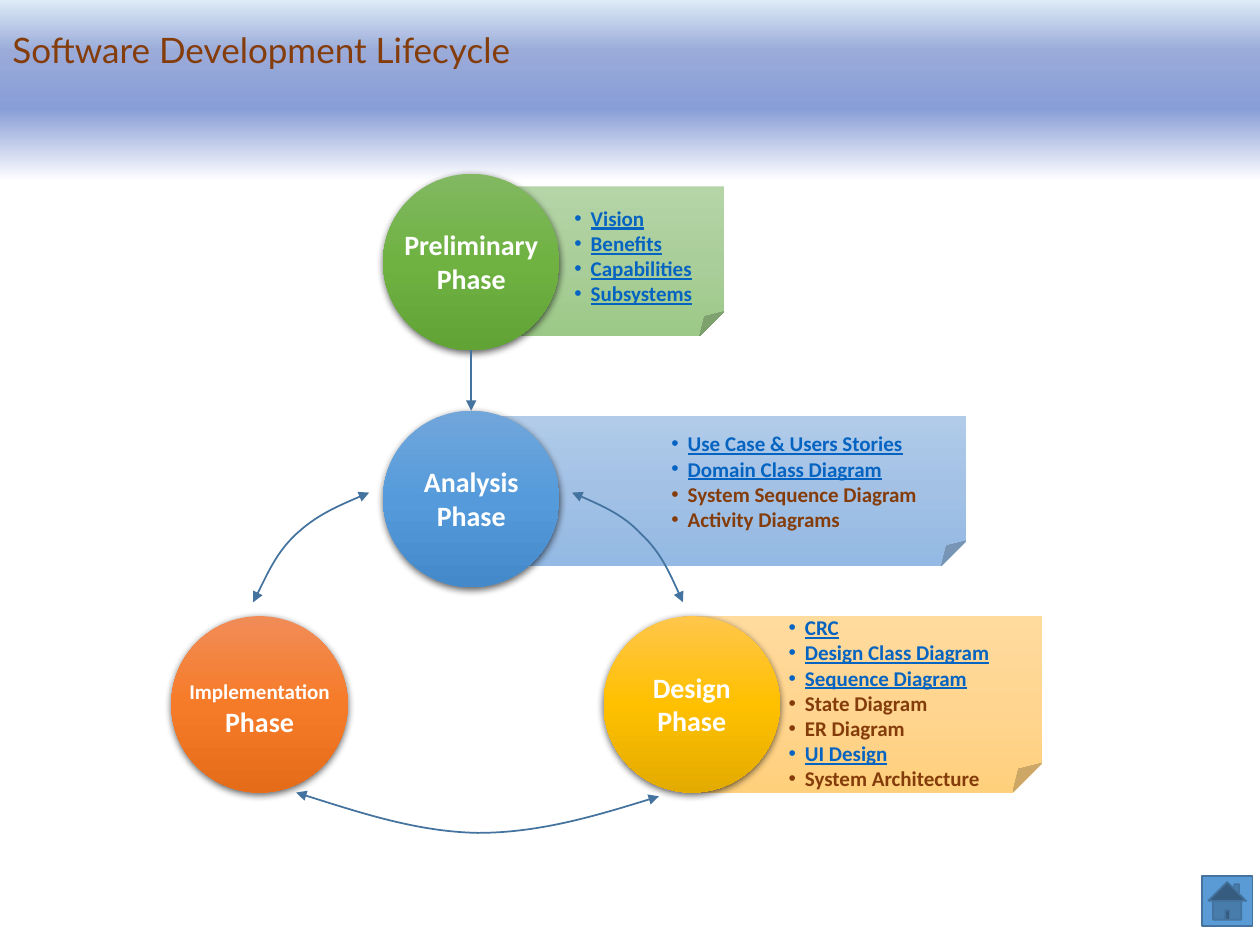
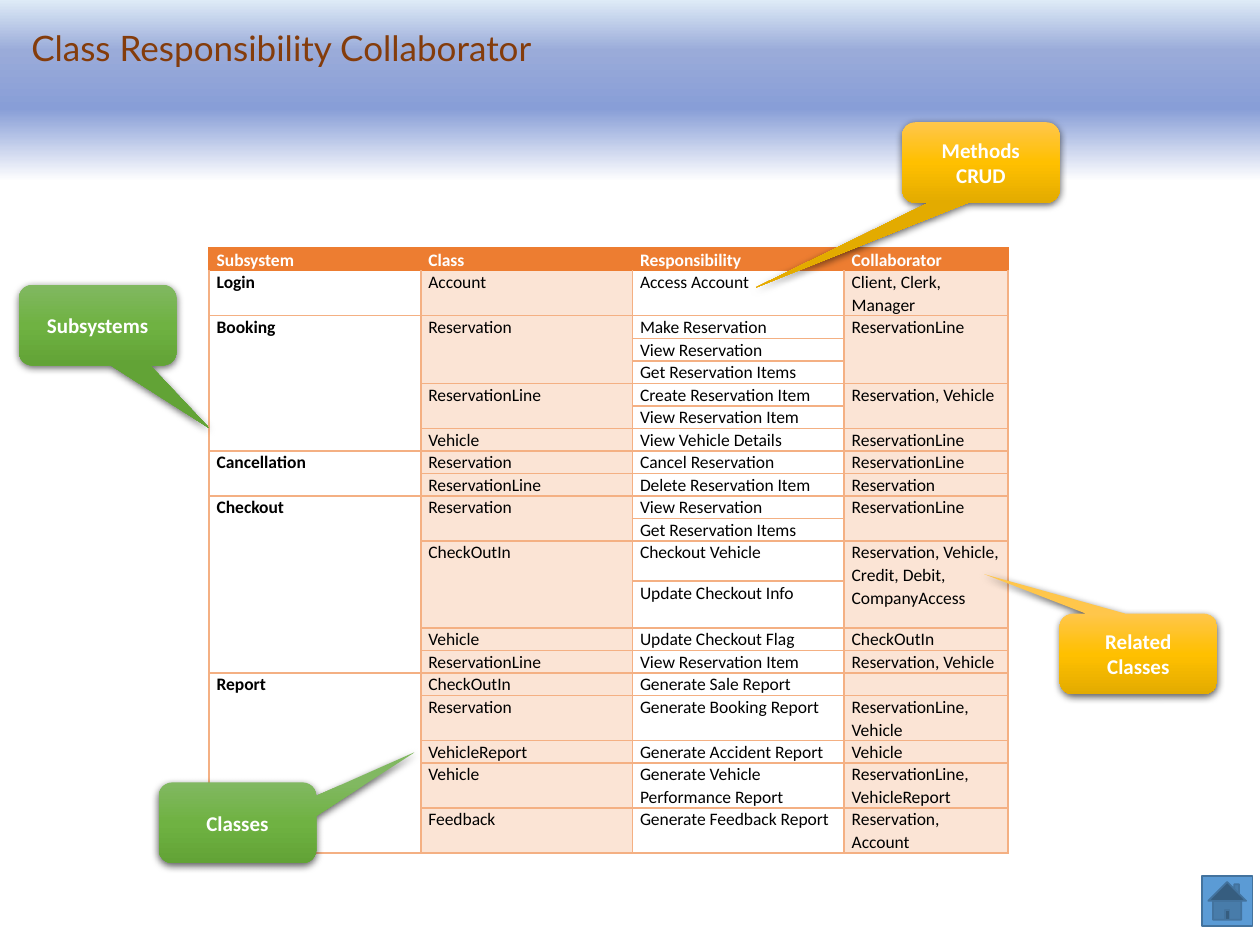
from lxml.etree import SubElement
from pptx import Presentation
from pptx.dml.color import RGBColor as RGB
from pptx.enum.shapes import MSO_CONNECTOR as LINK, MSO_SHAPE as SHAPE
from pptx.enum.text import MSO_ANCHOR as ANCHOR, PP_ALIGN as ALIGN
from pptx.oxml.ns import qn
from pptx.util import Inches, Pt

COLORS = {
    "title": "843C0B", "link": "0563C1", "white": "FFFFFF", "black": "000000",
    "line": "43739E", "home": "5B9BD5",
    "header": "ED7D31", "border": "F4B083", "tint": "FBE4D5",
}
GRADIENTS = {
    "band": [(0, "DEEBF7"), (28, "9AABD9"), (60, "889ED7"), (100, "FFFFFF")],
    "green": [(0, "81B861"), (50, "6FB242"), (100, "62A336")],
    "blue": [(0, "71A6DB"), (50, "559BDB"), (100, "448ACA")],
    "gold": [(0, "FFC64B"), (50, "FFC000"), (100, "E3AB00")],
    "orange": [(0, "F18C57"), (50, "F67B28"), (100, "E56C19")],
    "green note": [(0, "B5D5A7"), (50, "AACE9A"), (100, "9CC987")],
    "blue note": [(0, "B1CBE9"), (50, "A3C1E5"), (100, "93B9E4")],
    "gold note": [(0, "FFDB9E"), (50, "FFD590"), (100, "FFD07C")],
}


def add_gradient_shape(page, kind, place, gradient, shadow=False):
    shape = page.shapes.add_shape(kind, *map(Inches, place))
    shape.line.fill.background()
    shape.fill.gradient()
    shape.fill.gradient_angle = 270
    stops = shape._element.spPr.find(qn("a:gradFill")).find(qn("a:gsLst"))
    for stop in list(stops):
        stops.remove(stop)
    for position, color in GRADIENTS[gradient]:
        stop = SubElement(stops, qn("a:gs"), pos=str(position * 1000))
        SubElement(stop, qn("a:srgbClr"), val=color)
    shape.shadow.inherit = False
    if shadow:
        effects = shape._element.spPr.find(qn("a:effectLst"))
        outer = SubElement(effects, qn("a:outerShdw"), blurRad=str(Pt(4.5)),
                           dist=str(Pt(1.5)), dir="5400000", rotWithShape="0")
        black = SubElement(outer, qn("a:srgbClr"), val=COLORS["black"])
        SubElement(black, qn("a:alpha"), val="63000")
    return shape


def write(frame, lines, size, color, bold=True, align=None, bullets=False, font="Calibri"):
    for index, line in enumerate(lines):
        para = frame.paragraphs[0] if index == 0 else frame.add_paragraph()
        para.text = line
        para.alignment = align
        if bullets:
            props = para._p.get_or_add_pPr()
            props.set("marL", str(Inches(0.13)))
            props.set("indent", str(-Inches(0.13)))
            SubElement(props, qn("a:buFont"), typeface="Arial")
            SubElement(props, qn("a:buChar"), char="•")
        para.font.name = font
        para.font.size = Pt(size)
        para.font.bold = bold
        para.font.color.rgb = RGB.from_string(COLORS[color])


deck = Presentation()
deck.slide_width, deck.slide_height = Inches(10), Inches(7.5)

pages = []
for title, left, top in [
    ("Software Development Lifecycle", 0, 0.18),
    ("Class Responsibility Collaborator", 0.15, 0.16),
]:
    page = deck.slides.add_slide(deck.slide_layouts[6])
    add_gradient_shape(page, SHAPE.RECTANGLE, (0, 0, 10, 1.44), "band")
    home = page.shapes.add_shape(SHAPE.ACTION_BUTTON_HOME, Inches(9.54), Inches(6.95), Inches(0.4), Inches(0.4))
    home.fill.solid()
    home.fill.fore_color.rgb = RGB.from_string(COLORS["home"])
    home.line.color.rgb = RGB.from_string(COLORS["line"])
    home.line.width = Pt(1)
    home.shadow.inherit = False
    box = page.shapes.add_textbox(Inches(left), Inches(top), Inches(4.5), Inches(0.44))
    box.text_frame.word_wrap = False
    write(box.text_frame, [title], 20, "title", bold=False, font="Lato")
    pages.append(page)
lifecycle, collaborators = pages

for place, gradient in [
    ((5.42, 4.89, 2.85, 1.4), "gold note"),
    ((3.74, 3.3, 3.93, 1.19), "blue note"),
    ((3.74, 1.48, 2.01, 1.19), "green note"),
]:
    add_gradient_shape(lifecycle, SHAPE.FOLDED_CORNER, place, gradient)

diameter = 1.4
for phase, left, top, gradient, size in [
    ("Preliminary", 3.04, 1.38, "green", 16),
    ("Analysis", 3.04, 3.26, "blue", 16),
    ("Design", 4.79, 4.89, "gold", 16),
    ("Implementation", 1.36, 4.89, "orange", 12),
]:
    add_gradient_shape(lifecycle, SHAPE.OVAL, (left, top, diameter, diameter), gradient, shadow=True)
    height = 0.64 if size == 16 else 0.57
    label_top = top + 0.38 if size == 16 else top + 0.45
    box = lifecycle.shapes.add_textbox(Inches(left - 0.14), Inches(label_top), Inches(1.68), Inches(height))
    box.text_frame.word_wrap = True
    write(box.text_frame, [phase, "Phase"], 16, "white", align=ALIGN.CENTER)
    box.text_frame.paragraphs[0].font.size = Pt(size)

arrows = []
for points in [
    [(4.54, 3.91), (4.75, 4), (4.95, 4.09), (5.09, 4.24), (5.24, 4.38), (5.33, 4.58), (5.42, 4.78)],
    [(5.23, 6.32), (4.75, 6.47), (4.27, 6.61), (3.79, 6.61), (3.31, 6.6), (2.83, 6.44), (2.35, 6.29)],
    [(2.93, 3.91), (2.72, 4), (2.51, 4.09), (2.35, 4.24), (2.2, 4.38), (2.11, 4.58), (2.01, 4.78)],
]:
    start, *controls = [(Inches(x), Inches(y)) for x, y in points]
    builder = lifecycle.shapes.build_freeform(*start)
    builder.add_line_segments(controls, close=False)
    curve = builder.convert_to_shape()
    curve.fill.background()
    curve.shadow.inherit = False
    outline = next(curve._element.iter(qn("a:path")))
    segments = outline.findall(qn("a:lnTo"))
    for first in (0, 3):
        bezier = SubElement(outline, qn("a:cubicBezTo"))
        for segment in segments[first:first + 3]:
            bezier.append(segment[0])
            outline.remove(segment)
    arrows.append((curve, ("a:headEnd", "a:tailEnd")))

down = lifecycle.shapes.add_connector(LINK.STRAIGHT, Inches(3.74), Inches(2.78), Inches(3.74), Inches(3.26))
SubElement(down._element.spPr, qn("a:effectLst"))
arrows.append((down, ("a:tailEnd",)))
for arrow, ends in arrows:
    arrow.line.color.rgb = RGB.from_string(COLORS["line"])
    arrow.line.width = Pt(1)
    for end in ends:
        SubElement(arrow._element.spPr.find(qn("a:ln")), qn(end), type="triangle")

linked = {"Vision", "Benefits", "Capabilities", "Subsystems", "Use Case & Users Stories",
          "Domain Class Diagram", "CRC", "Design Class Diagram", "Sequence Diagram", "UI Design"}
for place, items in [
    ((4.46, 1.58, 1.15, 0.91), ["Vision", "Benefits", "Capabilities", "Subsystems"]),
    ((5.23, 3.37, 2.17, 0.91), ["Use Case & Users Stories", "Domain Class Diagram",
                                "System Sequence Diagram", "Activity Diagrams"]),
    ((6.16, 4.83, 1.82, 1.51), ["CRC", "Design Class Diagram", "Sequence Diagram", "State Diagram",
                                "ER Diagram", "UI Design", "System Architecture"]),
]:
    box = lifecycle.shapes.add_textbox(*map(Inches, place))
    box.text_frame.word_wrap = False
    write(box.text_frame, items, 12, "title", bullets=True)
    for para in box.text_frame.paragraphs:
        if para.text in linked:
            para.font.underline = True
            para.font.color.rgb = RGB.from_string(COLORS["link"])

rows = [
    ("Subsystem", "Class", "Responsibility", "Collaborator"),
    ("Login", "Account", "Access Account", "Client, Clerk, Manager"),
    ("Booking", "Reservation", "Make Reservation", "ReservationLine"),
    (None, None, "View Reservation", None),
    (None, None, "Get Reservation Items", None),
    (None, "ReservationLine", "Create Reservation Item", "Reservation, Vehicle"),
    (None, None, "View Reservation Item", None),
    (None, "Vehicle", "View Vehicle Details", "ReservationLine"),
    ("Cancellation", "Reservation", "Cancel Reservation", "ReservationLine"),
    (None, "ReservationLine", "Delete Reservation Item", "Reservation"),
    ("Checkout", "Reservation", "View Reservation", "ReservationLine"),
    (None, None, "Get Reservation Items", None),
    (None, "CheckOutIn", "Checkout Vehicle", "Reservation, Vehicle, Credit, Debit, CompanyAccess"),
    (None, None, "Update Checkout Info", None),
    (None, "Vehicle", "Update Checkout Flag", "CheckOutIn"),
    (None, "ReservationLine", "View Reservation Item", "Reservation, Vehicle"),
    ("Report", "CheckOutIn", "Generate Sale Report", ""),
    (None, "Reservation", "Generate Booking Report", "ReservationLine, Vehicle"),
    (None, "VehicleReport", "Generate Accident Report", "Vehicle"),
    (None, "Vehicle", "Generate Vehicle Performance Report", "ReservationLine, VehicleReport"),
    (None, "Feedback", "Generate Feedback Report", "Reservation, Account"),
]
tall_rows = {1: 0.34, 12: 0.32, 13: 0.37, 17: 0.34, 19: 0.34, 20: 0.34}
table = collaborators.shapes.add_table(len(rows), 4, Inches(1.66), Inches(1.97), Inches(6.34), Inches(4.79)).table
table.first_row = table.horz_banding = False
for column, width in zip(table.columns, (1.68, 1.68, 1.68, 1.3)):
    column.width = Inches(width)
for r, texts in enumerate(rows):
    table.rows[r].height = Inches(tall_rows.get(r, 0.17))
    for c, text in enumerate(texts):
        cell = table.cell(r, c)
        cell.margin_left = cell.margin_right = Inches(0.06)
        cell.margin_top = cell.margin_bottom = 0
        write(cell.text_frame, [text or ""], 10, "black" if r else "white", bold=r == 0 or c == 0)
        para = cell.text_frame.paragraphs[0]
        para.line_spacing = 1.07
        if not text:
            SubElement(para._p, qn("a:endParaRPr"), sz="1000")
        for side in ("L", "R", "T", "B"):
            on_header = r == 0 or (r == 1 and side == "T")
            edge = SubElement(cell._tc.get_or_add_tcPr(), qn("a:ln" + side), w=str(Pt(1)))
            ink = SubElement(edge, qn("a:solidFill"))
            SubElement(ink, qn("a:srgbClr"), val=COLORS["header" if on_header else "border"])
        if r == 0 or c in (1, 3):
            cell.fill.solid()
            cell.fill.fore_color.rgb = RGB.from_string(COLORS["tint" if r else "header"])
        else:
            cell.fill.background()

for c in range(4):
    starts = [r for r, texts in enumerate(rows) if texts[c] is not None]
    for start, following in zip(starts, starts[1:] + [len(rows)]):
        if following - start > 1:
            table.cell(start, c).merge(table.cell(following - 1, c))

for lines, left, top, gradient, tip in [
    (["Subsystems"], 0.15, 2.26, "green", (0.71, 1.28)),
    (["Classes"], 1.26, 6.21, "green", (1.13, -0.88)),
    (["Methods", "CRUD"], 7.16, 0.97, "gold", (-1.43, 1.55)),
    (["Related Classes"], 8.41, 4.87, "gold", (-0.98, -0.99)),
]:
    callout = add_gradient_shape(collaborators, SHAPE.ROUNDED_RECTANGULAR_CALLOUT,
                                 (left, top, 1.25, 0.64), gradient, shadow=True)
    callout.adjustments[0], callout.adjustments[1] = tip
    callout.text_frame.word_wrap = True
    callout.text_frame.vertical_anchor = ANCHOR.MIDDLE
    write(callout.text_frame, lines, 12, "white", align=ALIGN.CENTER)

deck.save("out.pptx")
